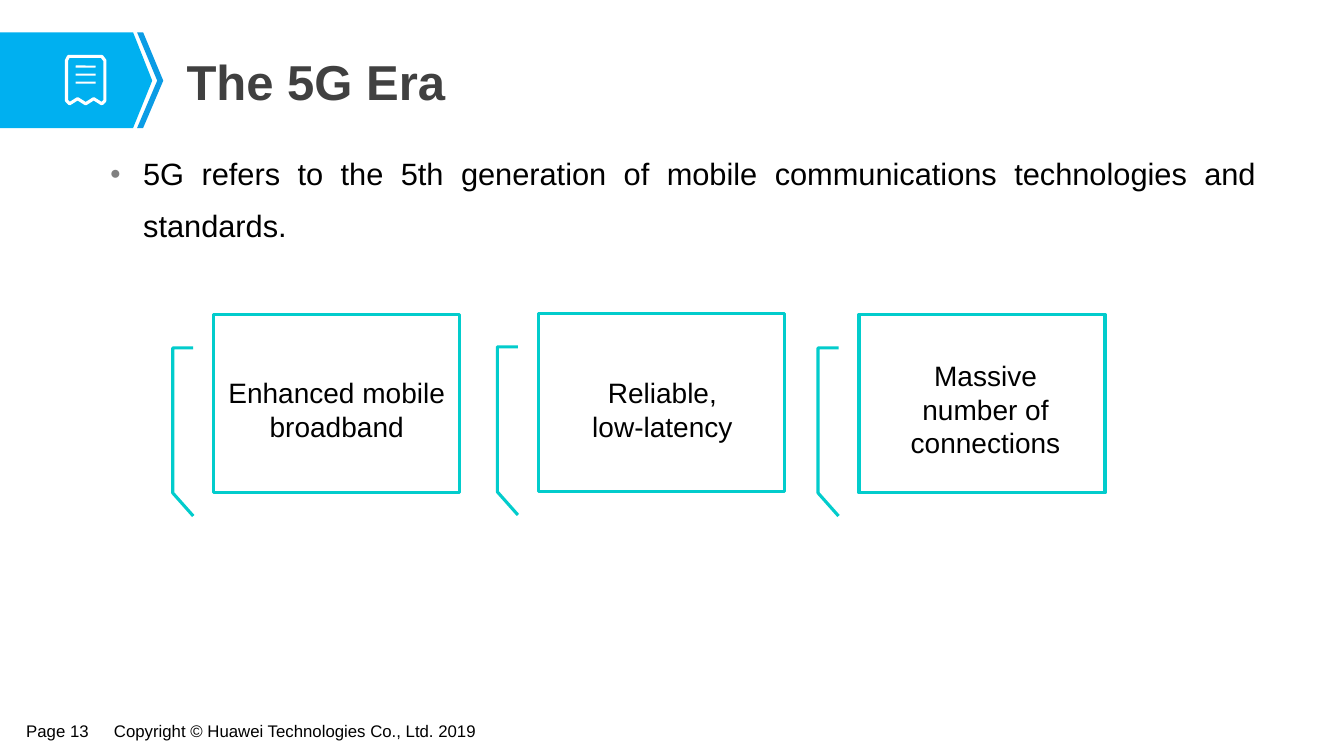
from lxml import etree
from pptx import Presentation
from pptx.dml.color import RGBColor
from pptx.enum.shapes import MSO_SHAPE
from pptx.enum.text import MSO_ANCHOR, PP_ALIGN
from pptx.oxml.ns import qn
from pptx.util import Inches, Pt

BLACK, WHITE, CYAN = "000000", "FFFFFF", "02CCCC"
BANNER = [(0, 0.32), (1.32, 0.32), (1.51, 0.8), (1.32, 1.27), (0, 1.27)]
CHEVRON = [(1.36, 0.32), (1.42, 0.32), (1.62, 0.8), (1.42, 1.27), (1.36, 1.27), (1.56, 0.8)]
RECEIPT = [(0.68, 0.56), (1.01, 0.56), (1.04, 0.6), (1.04, 1), (1.01, 1.03), (0.93, 0.98),
           (0.85, 1.03), (0.77, 0.98), (0.69, 1.03), (0.66, 1), (0.66, 0.6)]
FEATURES = [
    ("Enhanced mobile broadband", (2.12, 3.12), (2.12, 3.68, 2.44, 0.78)),
    ("Reliable, low-latency", (5.34, 3.11), (5.64, 3.68, 1.86, 0.78)),
    ("Massive number of connections", (8.52, 3.12), (8.83, 3.51, 1.89, 1.12)),
]


def colour(value):
    return RGBColor.from_string(value)


def paint(shape, fill=None, line=None, width=2.25):
    shape.shadow.inherit = False
    if fill:
        shape.fill.solid()
        shape.fill.fore_color.rgb = colour(fill)
    else:
        shape.fill.background()
    if line:
        shape.line.color.rgb = colour(line)
        shape.line.width = Pt(width)
    else:
        shape.line.fill.background()


def add_outline(page, points, fill=None, line=None):
    corners = [(Inches(x), Inches(y)) for x, y in points]
    builder = page.shapes.build_freeform(*corners[0])
    builder.add_line_segments(corners[1:], close=True)
    paint(builder.convert_to_shape(), fill, line)


def write(box, text, size, ink=BLACK, bold=False, insets=(0.09, 0.04)):
    frame = box.text_frame
    frame.text = text
    frame.margin_left = frame.margin_right = Inches(insets[0])
    frame.margin_top = frame.margin_bottom = Inches(insets[1])
    para = frame.paragraphs[0]
    for span in para.runs:
        span.font.name = "Arial"
        span.font.size = Pt(size)
        span.font.bold = bold
        span.font.color.rgb = colour(ink)
    return para


def add_text(page, area, text, size, wrap=True, insets=(0.09, 0.04)):
    box = page.shapes.add_textbox(*map(Inches, area))
    box.text_frame.word_wrap = wrap
    return write(box, text, size, insets=insets)


def add_bullet(para, indent):
    properties = para._p.get_or_add_pPr()
    properties.set("marL", str(Inches(indent)))
    properties.set("indent", str(-Inches(indent)))
    tint = etree.SubElement(properties, qn("a:buClr"))
    etree.SubElement(tint, qn("a:srgbClr"), val="808080")
    etree.SubElement(properties, qn("a:buSzPct"), val="60000")
    etree.SubElement(properties, qn("a:buFont"), typeface="Arial")
    etree.SubElement(properties, qn("a:buChar"), char="●")


def add_header(page):
    add_outline(page, BANNER, fill="00B0F0")
    add_outline(page, CHEVRON, fill="0B9CE5")
    add_outline(page, RECEIPT, line=WHITE)
    for row in range(3):
        area = (0.75, 0.65 + 0.08 * row, 0.2, 0.02)
        stripe = page.shapes.add_shape(MSO_SHAPE.ROUNDED_RECTANGLE, *map(Inches, area))
        paint(stripe, fill=WHITE)


def add_title(page, text):
    title = page.shapes.title
    title.left, title.top, title.width, title.height = map(Inches, (1.74, 0.45, 10.75, 0.7))
    para = write(title, text, 35, "404040", True, (0.11, 0.06))
    para.alignment = PP_ALIGN.LEFT
    title.text_frame.vertical_anchor = MSO_ANCHOR.MIDDLE


def add_feature(page, text, corner, caption):
    callout = page.shapes.add_shape(
        MSO_SHAPE.LINE_CALLOUT_3, *map(Inches, (*corner, 2.44, 1.77)))
    paint(callout, line=CYAN)
    para = add_text(page, caption, text, 20, insets=(0.11, 0.05))
    para.alignment = PP_ALIGN.CENTER


def main():
    deck = Presentation()
    deck.slide_width, deck.slide_height = Inches(13.33), Inches(7.5)
    page = deck.slides.add_slide(deck.slide_layouts[5])
    add_text(page, (0.17, 7.11, 0.84, 0.29), "Page 13", 12, wrap=False)
    add_text(page, (1.04, 7.11, 3.79, 0.29),
             "Copyright © Huawei Technologies Co., Ltd. 2019", 12, wrap=False)
    add_header(page)
    add_title(page, "The 5G Era")
    para = add_text(page, (1, 1.35, 11.55, 1.1), "5G refers to the 5th generation of mobile "
                    "communications technologies and standards.", 22)
    para.alignment = PP_ALIGN.JUSTIFY
    para.line_spacing = 1.4
    add_bullet(para, 0.33)
    for feature in FEATURES:
        add_feature(page, *feature)
    deck.save("out.pptx")


if __name__ == "__main__":
    main()
